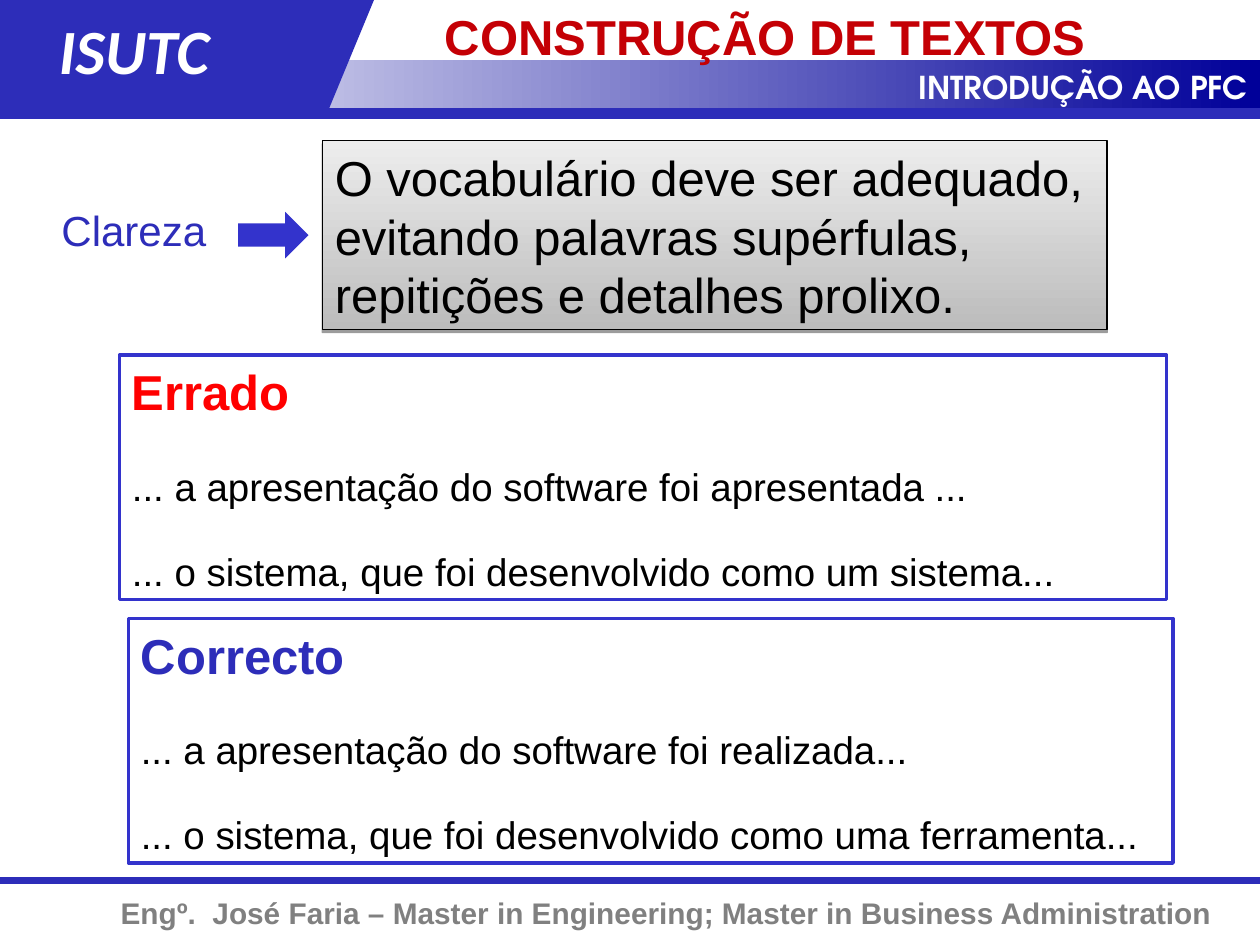
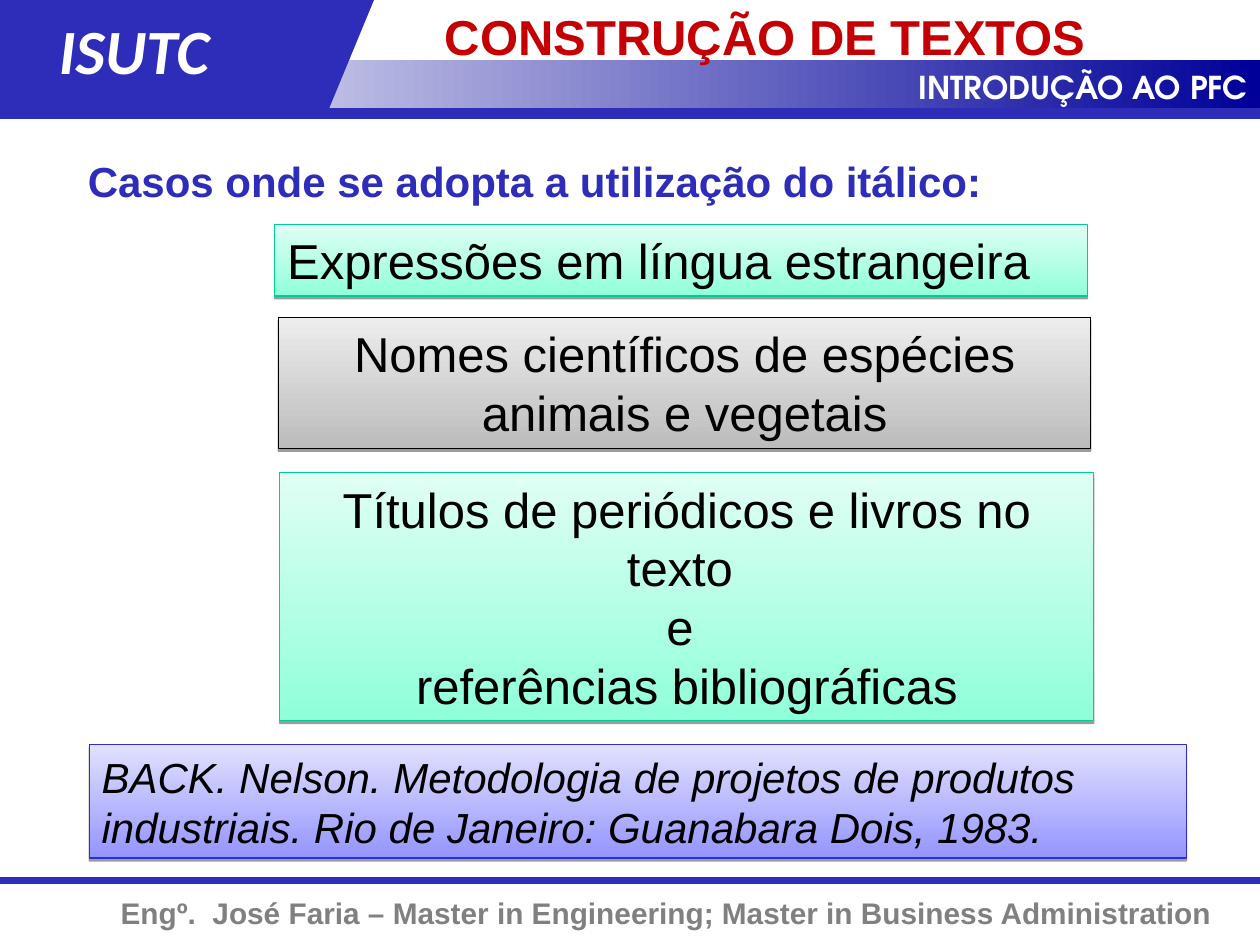
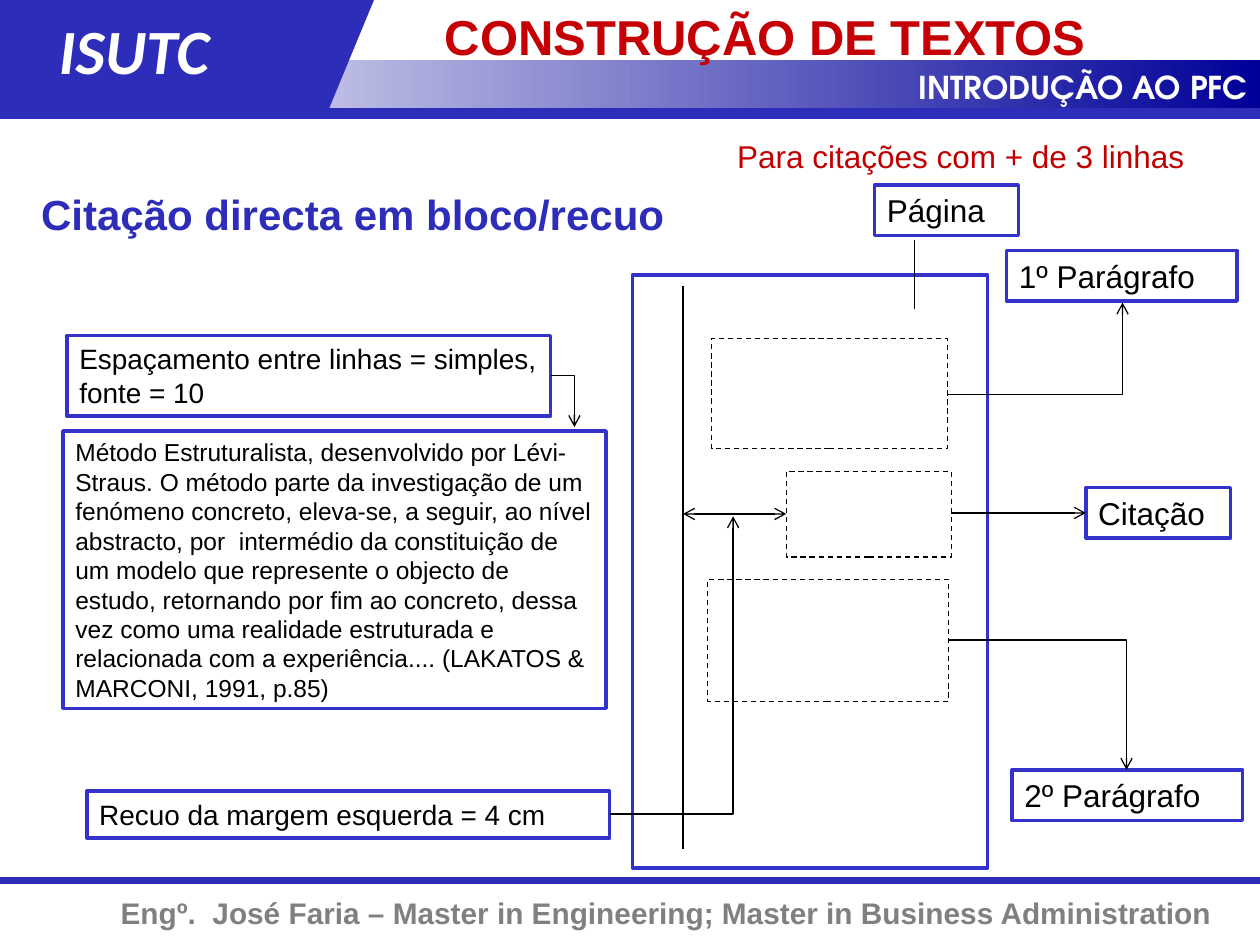
from lxml import etree
from pptx import Presentation
from pptx.dml.color import RGBColor
from pptx.enum.dml import MSO_LINE
from pptx.enum.shapes import MSO_CONNECTOR, MSO_SHAPE
from pptx.enum.text import MSO_ANCHOR, PP_ALIGN
from pptx.oxml.ns import qn
from pptx.util import Cm, Pt

RECTANGLE = MSO_SHAPE.RECTANGLE
PARALLELOGRAM = MSO_SHAPE.FLOWCHART_DATA
RIGHT_ARROW = MSO_SHAPE.RIGHT_ARROW
STRAIGHT, ELBOW = MSO_CONNECTOR.STRAIGHT, MSO_CONNECTOR.ELBOW
LEFT, CENTER, RIGHT = PP_ALIGN.LEFT, PP_ALIGN.CENTER, PP_ALIGN.RIGHT
DASH = MSO_LINE.DASH
TOP = MSO_ANCHOR.TOP

# Colours
BLACK = RGBColor(0x00, 0x00, 0x00)
WHITE = RGBColor(0xFF, 0xFF, 0xFF)
GRAY = RGBColor(0x80, 0x80, 0x80)
BAND_BLUE = RGBColor(0x2D, 0x2D, 0xB9)
FRAME_BLUE = RGBColor(0x33, 0x33, 0xCC)
NAVY = RGBColor(0x00, 0x00, 0x99)
TITLE_RED = RGBColor(0xC4, 0x00, 0x05)
NOTE_RED = RGBColor(0xC0, 0x00, 0x00)
WRONG_RED = RGBColor(0xFF, 0x00, 0x00)

# Panel styles: bottom colour, top colour, outline
GRAY_PANEL = (RGBColor(0xBC, 0xBC, 0xBC), RGBColor(0xED, 0xED, 0xED), BLACK)
GREEN_PANEL = (RGBColor(0x90, 0xFF, 0xDA), RGBColor(0xE0, 0xFF, 0xF4),
               RGBColor(0x00, 0xCC, 0x98))
BLUE_PANEL = (RGBColor(0x95, 0x95, 0xFF), RGBColor(0xE1, 0xE1, 0xFF),
              RGBColor(0x2E, 0x2E, 0xCB))

FONT = "Arial"
SLIDE_WIDTH, SLIDE_HEIGHT = 25.4, 19.05


# Basic elements; every place is (left, top, width, height) in centimetres
def write(box, lines, size, color=BLACK, bold=False, italic=False,
          font=FONT, align=LEFT, indent=0.25):
    frame = box.text_frame
    frame.word_wrap = True
    frame.vertical_anchor = TOP
    frame.margin_left, frame.margin_right = Cm(indent), Cm(0.25)
    frame.margin_top = frame.margin_bottom = Cm(0.13)
    for number, line in enumerate(lines):
        para = frame.paragraphs[0] if number == 0 else frame.add_paragraph()
        para.text = line
        para.alignment = align
        para.font.name = font
        para.font.size = Pt(size)
        para.font.bold = bold
        para.font.italic = italic
        para.font.color.rgb = color
    return frame.paragraphs


def add_text(page, place, text, size, color, **style):
    box = page.shapes.add_textbox(*map(Cm, place))
    write(box, [text], size, color, **style)


def add_block(page, place, fill=None, line=None, width=0.75, kind=RECTANGLE):
    block = page.shapes.add_shape(kind, *map(Cm, place))
    block.shadow.inherit = False
    if fill is None:
        block.fill.background()
    else:
        block.fill.solid()
        block.fill.fore_color.rgb = fill
    if line is None:
        block.line.fill.background()
    else:
        block.line.color.rgb = line
        block.line.width = Pt(width)
    return block


def set_gradient(block, start, end, angle):
    block.fill.gradient()
    block.fill.gradient_angle = angle
    for stop, color in zip(block.fill.gradient_stops, (start, end)):
        stop.color.rgb = color


def add_line(page, start, end, color=BLACK, width=0.75, kind=STRAIGHT, arrows=()):
    line = page.shapes.add_connector(kind, *map(Cm, start + end))
    line.line.color.rgb = color
    line.line.width = Pt(width)
    properties = line._element.spPr
    if kind == ELBOW:
        properties.find(qn("a:prstGeom")).set("prst", "bentConnector2")
    for arrow in arrows:
        etree.SubElement(properties.find(qn("a:ln")), qn(arrow), type="arrow")
    etree.SubElement(properties, qn("a:effectLst"))


# Elements of this content
def add_panel(page, place, lines, style, size=28, **text_style):
    bottom, top, outline = style
    panel = add_block(page, place, line=outline)
    set_gradient(panel, bottom, top, 90)
    effects = panel._element.spPr.find(qn("a:effectLst"))
    shadow = etree.SubElement(effects, qn("a:outerShdw"), blurRad="0",
                              dist=str(Pt(1.6)), dir="5400000", rotWithShape="0")
    color = etree.SubElement(shadow, qn("a:srgbClr"), val=str(BLACK))
    etree.SubElement(color, qn("a:alpha"), val="38000")
    write(panel, lines, size, **text_style)


def add_label(page, place, text, size=18):
    write(add_block(page, place, WHITE, FRAME_BLUE, 2), [text], size)


def add_example(page, place, heading, color, sentences):
    frame = add_block(page, place, WHITE, FRAME_BLUE, 2)
    first, *others = write(frame, [heading, *sentences], 22)
    first.font.size = Pt(28)
    first.font.bold = True
    first.font.color.rgb = color
    first.space_after = Pt(10.5)
    for para in others:
        para.space_before, para.space_after = Pt(13.8), Pt(8.2)


def add_page(deck):
    page = deck.slides.add_slide(deck.slide_layouts[6])
    # Footer
    add_line(page, (0, 17.75), (SLIDE_WIDTH, 17.75), BAND_BLUE, 4)
    add_text(page, (0, 17.91, 24.69, 0.99),
             "Engº.  José Faria – Master in Engineering; "
             "Master in Business Administration",
             17, GRAY, bold=True, align=RIGHT)
    # Header bands
    band = add_block(page, (0, 1.22, SLIDE_WIDTH, 0.99))
    set_gradient(band, WHITE, NAVY, 0)
    add_block(page, (2.97, 0, 4.57, 2.21), BAND_BLUE, kind=PARALLELOGRAM)
    add_block(page, (0, 0, 4.04, 2.21), BAND_BLUE)
    add_text(page, (11.07, 1.24, 14.33, 1.02), "INTRODUÇÃO AO PFC", 18, WHITE,
             bold=True, font="TeX Gyre Adventor", align=RIGHT)
    add_text(page, (0.94, 0.1, 4.9, 1.78), "ISUTC", 36, WHITE,
             bold=True, italic=True, font="Calibri")
    add_line(page, (0, 2.29), (SLIDE_WIDTH, 2.29), BAND_BLUE, 6)
    # Title
    add_text(page, (7.62, 0, 17.78, 1.22), "CONSTRUÇÃO DE TEXTOS", 28, TITLE_RED,
             bold=True, indent=1.35)
    return page


# Slides
def build_clarity(deck):
    page = add_page(deck)
    add_example(page, (2.59, 12.47, 21.06, 4.93), "Correcto", BAND_BLUE,
                ["... a apresentação do software foi realizada...",
                 "... o sistema, que foi desenvolvido como uma ferramenta..."])
    add_example(page, (2.41, 7.16, 21.11, 4.93), "Errado", WRONG_RED,
                ["... a apresentação do software foi apresentada ...",
                 "... o sistema, que foi desenvolvido como um sistema..."])
    add_panel(page, (6.5, 2.84, 15.82, 3.81),
              ["O vocabulário deve ser adequado, evitando palavras supérfulas, "
               "repitições e detalhes prolixo."], GRAY_PANEL)
    add_text(page, (0.99, 3.99, 3.68, 1.27), "Clareza", 24, BAND_BLUE)
    add_block(page, (4.8, 4.27, 1.42, 0.94), FRAME_BLUE, kind=RIGHT_ARROW)


def build_italics(deck):
    page = add_page(deck)
    add_panel(page, (1.8, 15.01, 22.12, 2.29),
              ["BACK. Nelson. Metodologia de projetos de produtos industriais. "
               "Rio de Janeiro: Guanabara Dois, 1983."],
              BLUE_PANEL, 24, italic=True)
    add_text(page, (1.52, 3, 22.1, 1.27),
             "Casos onde se adopta a utilização do itálico:",
             24, BAND_BLUE, bold=True)
    add_panel(page, (5.54, 4.52, 16.38, 1.45),
              ["Expressões em língua estrangeira"], GREEN_PANEL)
    add_panel(page, (5.61, 6.4, 16.38, 2.64),
              ["Nomes científicos de espécies animais e vegetais"],
              GRAY_PANEL, align=CENTER)
    add_panel(page, (5.64, 9.53, 16.41, 5),
              ["Títulos de periódicos e livros no texto ", "e ",
               "referências bibliográficas"], GREEN_PANEL, align=CENTER)


def build_block_quote(deck):
    page = add_page(deck)
    # Notes on the left
    add_label(page, (1.27, 8.69, 10.95, 5.59),
              "Método Estruturalista, desenvolvido por Lévi-Straus. O método parte "
              "da investigação de um fenómeno concreto, eleva-se, a seguir, ao "
              "nível abstracto, por  intermédio da constituição de um modelo que "
              "represente o objecto de estudo, retornando por fim ao concreto, "
              "dessa vez como uma realidade estruturada e relacionada com a "
              "experiência.... (LAKATOS & MARCONI, 1991, p.85)", 14)
    add_label(page, (1.35, 6.76, 9.75, 1.63),
              "Espaçamento entre linhas = simples, fonte = 10", 16)
    add_label(page, (1.75, 15.95, 10.54, 0.94),
              "Recuo da margem esquerda = 4 cm", 16)

    # Page sketch with its margin and text blocks
    add_block(page, (12.75, 5.54, 7.16, 11.96), WHITE, FRAME_BLUE, 2)
    for place, text in (((17.63, 3.73, 2.9, 1.02), "Página"),
                        ((20.29, 5.05, 4.65, 1.02), "1º Parágrafo"),
                        ((20.4, 15.52, 4.65, 1.02), "2º Parágrafo"),
                        ((21.89, 9.83, 2.92, 1.02), "Citação")):
        add_label(page, place, text)
    add_line(page, (13.77, 5.77), (13.77, 17.12))
    for place in ((14.35, 6.83, 4.75, 2.21), (14.27, 11.68, 4.85, 2.46),
                  (15.85, 9.5, 3.33, 1.73)):
        add_block(page, place, line=BLACK).line.dash_style = DASH

    # Lines and arrows
    add_line(page, (13.77, 10.36), (15.85, 10.36),
             arrows=("a:headEnd", "a:tailEnd"))
    add_line(page, (19.18, 10.34), (21.89, 10.34), arrows=("a:tailEnd",))
    add_line(page, (18.44, 6.22), (18.44, 4.83))
    for start, end in (((12.29, 16.41), (14.78, 10.41)),
                       ((19.1, 7.95), (22.63, 6.1)),
                       ((19.13, 12.9), (22.71, 15.52)),
                       ((11.1, 7.57), (11.58, 8.61))):
        add_line(page, start, end, kind=ELBOW, arrows=("a:tailEnd",))

    # Headings
    add_text(page, (0.58, 3.68, 14.71, 1.27), "Citação directa em bloco/recuo",
             24, BAND_BLUE, bold=True)
    add_text(page, (14.61, 2.64, 9.83, 1.02), "Para citações com + de 3 linhas",
             18, NOTE_RED)


def main():
    deck = Presentation()
    deck.slide_width, deck.slide_height = Cm(SLIDE_WIDTH), Cm(SLIDE_HEIGHT)
    build_clarity(deck)
    build_italics(deck)
    build_block_quote(deck)
    deck.save("out.pptx")


if __name__ == "__main__":
    main()
